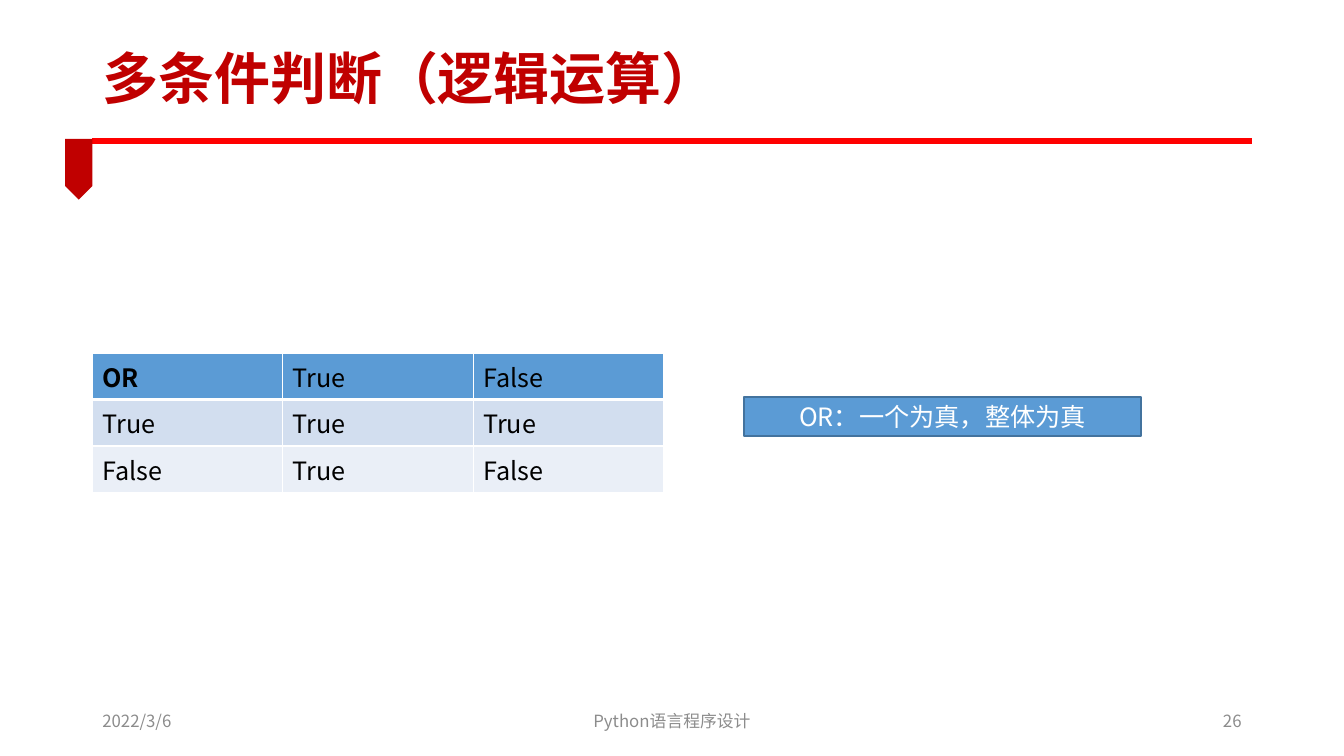
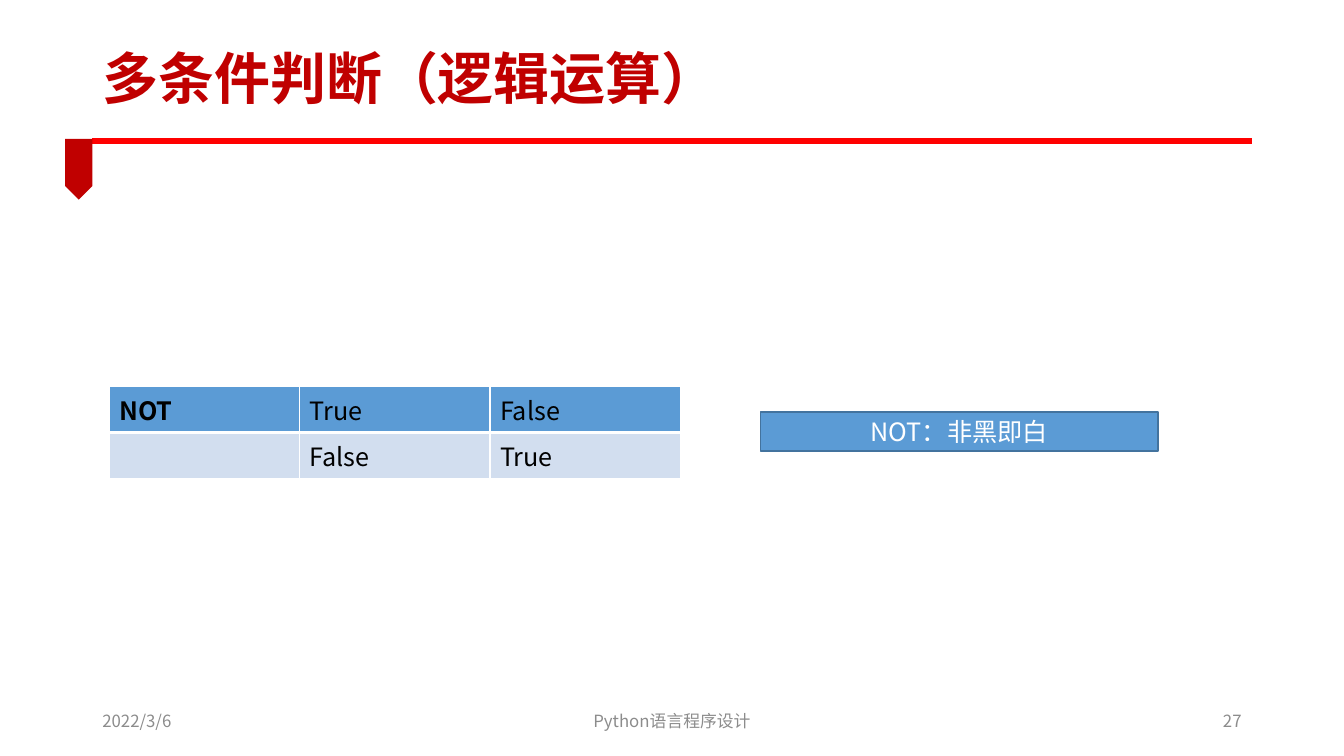
from dataclasses import dataclass

from pptx import Presentation
from pptx import util as u
from pptx.dml.color import RGBColor
from pptx.enum import shapes, text
from pptx.oxml import ns
from lxml import etree


@dataclass(frozen=True)
class Theme:
    font: str = "Noto Sans CJK SC"
    accent: str = "C00000"
    rule: str = "FF0000"
    muted: str = "8C8C8C"
    ink: str = "000000"
    paper: str = "FFFFFF"
    header: str = "5B9BD5"
    bands: tuple = ("D2DEEF", "EAEFF7")
    outline: str = "43739E"
    title_size: int = 40
    body_size: int = 18
    footer_size: int = 12


THEME = Theme()
LEFT, RIGHT = 2.33, 31.54
COLUMN_WIDTH, ROW_HEIGHT = 4.8, 1.17
CALLOUT_OFFSET = 16.42


def write(frame, words, size=THEME.body_size, color=THEME.ink, bold=False,
          align=text.PP_ALIGN.LEFT, spacing=1.0):
    para = frame.paragraphs[0]
    para.alignment = align
    para.line_spacing = spacing
    span = para.add_run()
    span.text = words
    span.font.size = u.Pt(size)
    span.font.bold = bold
    span.font.name = THEME.font
    span.font.color.rgb = RGBColor.from_string(color)
    east_asian = etree.Element(ns.qn("a:ea"), typeface=THEME.font)
    span.font._element.find(ns.qn("a:latin")).addnext(east_asian)


def paint(fill, color):
    fill.solid()
    fill.fore_color.rgb = RGBColor.from_string(color)


def add_borders(cell, color, bottom=1):
    """Draw 1 pt cell borders, with the bottom one as wide as given."""
    properties = cell._tc.get_or_add_tcPr()
    for side, width in (("L", 1), ("R", 1), ("T", 1), ("B", bottom)):
        line = etree.SubElement(properties, ns.qn(f"a:ln{side}"), w=str(u.Pt(width)))
        solid = etree.SubElement(line, ns.qn("a:solidFill"))
        etree.SubElement(solid, ns.qn("a:srgbClr"), val=color)


class SlideBuilder:
    def __init__(self, deck):
        self.deck = deck
        self.page = None

    def new_page(self, title, number):
        self.page = self.deck.slides.add_slide(self.deck.slide_layouts[6])
        paint(self.page.background.fill, THEME.paper)
        self.rule()
        self.bookmark()
        self.footer(number)
        self.text_box(title, LEFT, 0.89, 22.53, 2.34, size=THEME.title_size,
                      color=THEME.accent, bold=True, spacing=0.9)

    def rule(self):
        line = self.page.shapes.add_connector(
            shapes.MSO_CONNECTOR.STRAIGHT,
            u.Cm(LEFT), u.Cm(3.56), u.Cm(RIGHT), u.Cm(3.56))
        line.line.width = u.Pt(4.5)
        line.line.color.rgb = RGBColor.from_string(THEME.rule)
        etree.SubElement(line._element.spPr, ns.qn("a:effectLst"))

    def shape(self, kind, left, top, width, height, fill):
        box = self.page.shapes.add_shape(
            kind, u.Cm(left), u.Cm(top), u.Cm(width), u.Cm(height))
        box.shadow.inherit = False
        paint(box.fill, fill)
        box.line.fill.background()
        return box

    def bookmark(self):
        mark = self.shape(shapes.MSO_SHAPE.PENTAGON, 1.22, 3.92, 1.53, 0.69,
                          THEME.accent)
        mark.rotation = 90

    def text_box(self, words, left, top, width, height, **style):
        box = self.page.shapes.add_textbox(
            u.Cm(left), u.Cm(top), u.Cm(width), u.Cm(height))
        box.text_frame.word_wrap = True
        box.text_frame.vertical_anchor = text.MSO_ANCHOR.MIDDLE
        write(box.text_frame, words, **style)

    def footer(self, number):
        side, middle = 7.62, 11.43
        for words, left, width, align in (
            ("2022/3/6", LEFT, side, text.PP_ALIGN.LEFT),
            ("Python语言程序设计", (LEFT + RIGHT - middle) / 2, middle,
             text.PP_ALIGN.CENTER),
            (str(number), RIGHT - side, side, text.PP_ALIGN.RIGHT),
        ):
            self.text_box(words, left, 17.65, width, 1.01, align=align,
                          size=THEME.footer_size, color=THEME.muted)

    def truth_table(self, rows, left, top):
        table = self.page.shapes.add_table(
            len(rows), len(rows[0]), u.Cm(left), u.Cm(top),
            u.Cm(COLUMN_WIDTH * len(rows[0])), u.Cm(ROW_HEIGHT * len(rows))).table
        table.first_row = table.horz_banding = False
        for r, row in enumerate(rows):
            is_header = r == 0
            fill = THEME.header if is_header else THEME.bands[(r - 1) % 2]
            for c, words in enumerate(row):
                cell = table.cell(r, c)
                add_borders(cell, THEME.paper, bottom=3 if is_header else 1)
                paint(cell.fill, fill)
                write(cell.text_frame, words, bold=is_header and c == 0)

    def callout(self, words, left, top):
        box = self.shape(shapes.MSO_SHAPE.RECTANGLE, left, top, 10.01, 0.99,
                         THEME.header)
        box.line.width = u.Pt(1)
        box.line.color.rgb = RGBColor.from_string(THEME.outline)
        box.text_frame.word_wrap = True
        box.text_frame.vertical_anchor = text.MSO_ANCHOR.MIDDLE
        write(box.text_frame, words, color=THEME.paper, align=text.PP_ALIGN.CENTER)


OR_ROWS = [("OR", "True", "False"),
           ("True", "True", "True"),
           ("False", "True", "False")]
NOT_ROWS = [("NOT", "True", "False"),
            ("", "False", "True")]


def main():
    deck = Presentation()
    deck.slide_width, deck.slide_height = u.Cm(33.87), u.Cm(19.05)
    builder = SlideBuilder(deck)
    for number, rows, left, table_top, rule_words, callout_top in (
        (26, OR_ROWS, LEFT, 8.9, "OR：一个为真，整体为真", 10.0),
        (27, NOT_ROWS, 2.75, 9.73, "NOT：非黑即白", 10.38),
    ):
        builder.new_page("多条件判断（逻辑运算）", number)
        builder.truth_table(rows, left, table_top)
        builder.callout(rule_words, left + CALLOUT_OFFSET, callout_top)
    deck.save("out.pptx")


if __name__ == "__main__":
    main()
